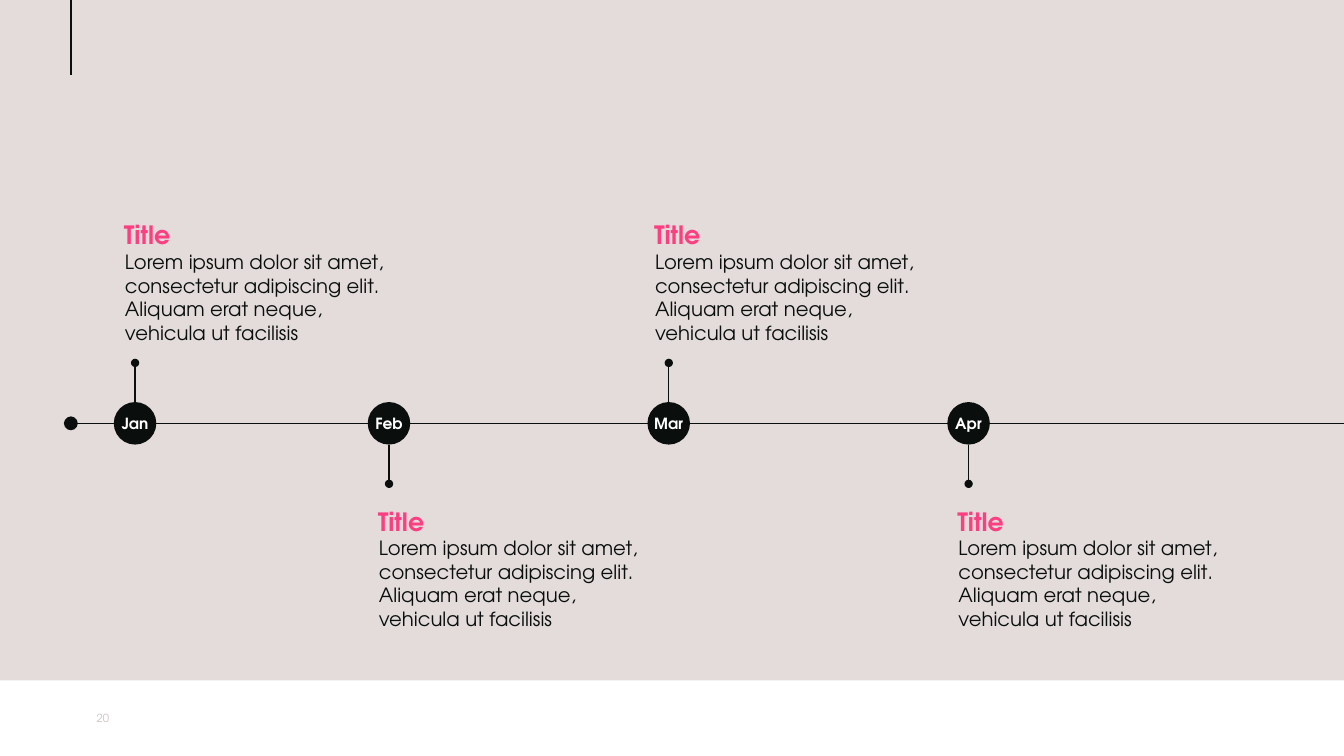
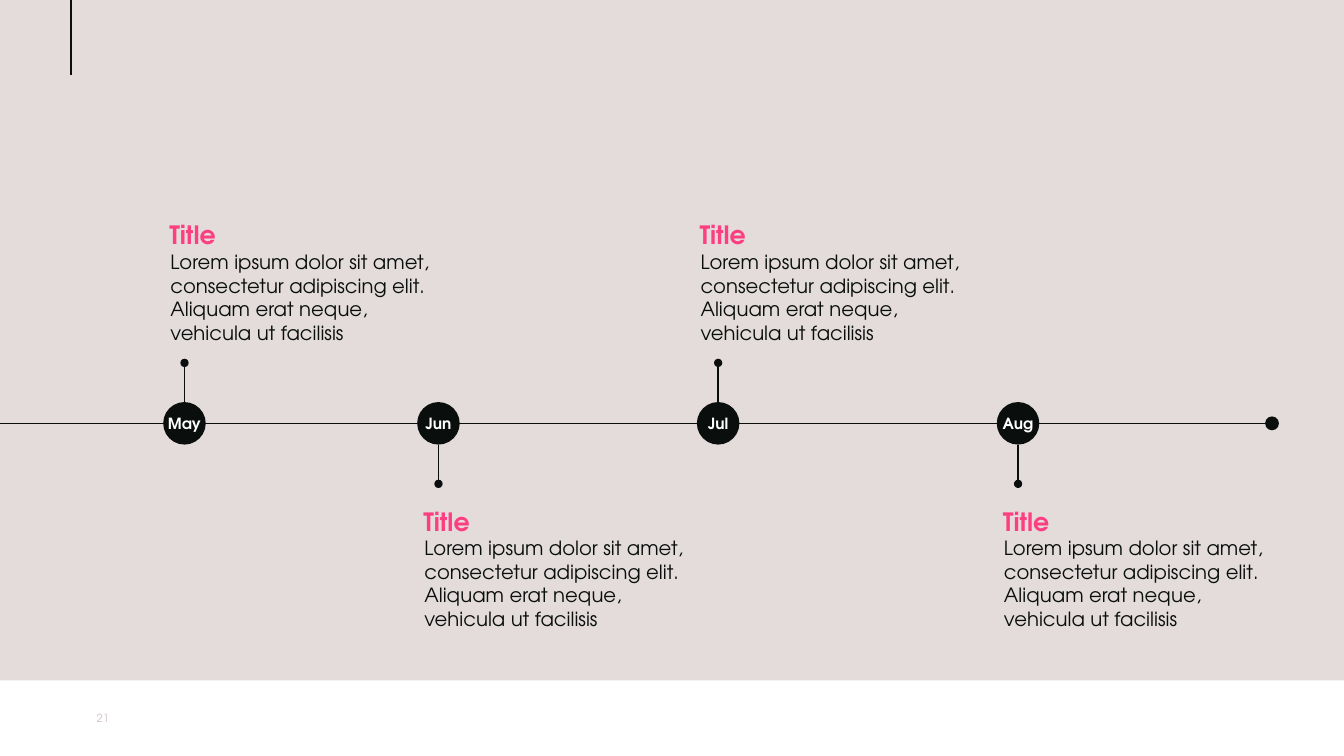
from pptx import Presentation
from pptx.dml.color import RGBColor
from pptx.enum.shapes import MSO_CONNECTOR, MSO_SHAPE
from pptx.enum.text import MSO_ANCHOR, MSO_AUTO_SIZE, PP_ALIGN
from pptx.oxml.ns import qn
from pptx.util import Pt
from lxml import etree

STRAIGHT = MSO_CONNECTOR.STRAIGHT
RECTANGLE, OVAL = MSO_SHAPE.RECTANGLE, MSO_SHAPE.OVAL
MIDDLE, CENTER = MSO_ANCHOR.MIDDLE, PP_ALIGN.CENTER
GROW = MSO_AUTO_SIZE.SHAPE_TO_FIT_TEXT

# Shared style
BACKGROUND = RGBColor(0xE3, 0xDC, 0xDB)
WHITE = RGBColor(0xFF, 0xFF, 0xFF)
INK = RGBColor(0x0A, 0x0F, 0x0D)
PINK = RGBColor(0xFD, 0x3E, 0x81)
GREY = RGBColor(0xCE, 0xC3, 0xC1)
FONT = "TeX Gyre Adventor"

HEADING = {"name": FONT, "size": Pt(18), "bold": True}
BODY = {"name": FONT, "size": Pt(14), "bold": False}
MONTH = {"name": FONT, "size": Pt(11), "bold": True}
NUMBER = {"name": FONT, "size": Pt(8)}

# Timeline geometry in points
WIDTH, HEIGHT = 960, 540
BAND_TOP = 486
MARGIN = 50.6
AXIS_Y = 302.4
RADIUS = 15.2
STEM_REACH = 43.2
CENTERS = (96.5, 277.9, 477.7, 691.9)
TEXT_LEFTS = (81.4, 262.8, 460.1, 676.8)
TEXT_WIDTH, TEXT_HEIGHT = 212.4, 97.2
TEXT_ABOVE, TEXT_BELOW = 153.4, 357.8

TITLE = "Title"
LOREM = ("Lorem ipsum dolor sit amet, consectetur adipiscing elit. "
         "Aliquam erat neque, vehicula ut facilisis")

# Each slide: number, months, axis start and end, shift of circles and texts
SLIDES = (
    ("20", ("Jan", "Feb", "Mar", "Apr"), (MARGIN, WIDTH), 0, 0),
    ("21", ("May", "Jun", "Jul", "Aug"), (908.6, 0), 35.3, 32.5),
)


def add_run(p, text, style, color):
    r = p.add_run()
    r.text = text
    for name, value in style.items():
        setattr(r.font, name, value)
    r.font.color.rgb = color


def add_shape(s, kind, left, top, width, height, fill):
    sp = s.shapes.add_shape(kind, Pt(left), Pt(top), Pt(width), Pt(height))
    sp.shadow.inherit = False
    sp.fill.solid()
    sp.fill.fore_color.rgb = fill
    sp.line.fill.background()
    return sp


def add_line(s, x1, y1, x2, y2, weight=1, dot=None):
    """Draw a line; dot is the size of a round head at its start."""
    line = s.shapes.add_connector(STRAIGHT, Pt(x1), Pt(y1), Pt(x2), Pt(y2))
    line.line.color.rgb = INK
    line.line.width = Pt(weight)
    if dot:
        etree.SubElement(line.line._get_or_add_ln(), qn("a:headEnd"),
                         type="oval", w=dot, len=dot)
    etree.SubElement(line._element.spPr, qn("a:effectLst"))


def add_text_box(s, left, top, width, height):
    sp = s.shapes.add_textbox(Pt(left), Pt(top), Pt(width), Pt(height))
    tf = sp.text_frame
    tf.word_wrap = True
    return tf


def add_frame(s, number):
    """Footer band, corner rule and slide number."""
    add_shape(s, RECTANGLE, 0, BAND_TOP, WIDTH, HEIGHT - BAND_TOP, WHITE)
    add_line(s, MARGIN, 0, MARGIN, 53.3, weight=1.5)
    tf = add_text_box(s, 61.9, 501.1, 38.9, 23)
    tf.vertical_anchor = MIDDLE
    add_run(tf.paragraphs[0], number, NUMBER, GREY)


def add_month(s, x, month, side):
    """Month circle with a stem; side is -1 above the axis, 1 below."""
    sp = add_shape(s, OVAL, x - RADIUS, AXIS_Y - RADIUS,
                   2 * RADIUS, 2 * RADIUS, INK)
    tf = sp.text_frame
    tf.word_wrap = False
    tf.vertical_anchor = MIDDLE
    p = tf.paragraphs[0]
    p.alignment = CENTER
    add_run(p, month, MONTH, WHITE)
    add_line(s, x, AXIS_Y + side * STEM_REACH,
             x, AXIS_Y + side * RADIUS, dot="med")


def add_description(s, left, top):
    tf = add_text_box(s, left, top, TEXT_WIDTH, TEXT_HEIGHT)
    tf.auto_size = GROW
    add_run(tf.paragraphs[0], TITLE, HEADING, PINK)
    p = tf.add_paragraph()
    p._p.get_or_add_pPr().set("marL", str(Pt(0.7)))
    add_run(p, LOREM, BODY, INK)


def add_timeline(s, months, axis, shift, text_shift):
    start, end = axis
    add_line(s, start, AXIS_Y, end, AXIS_Y, dot="lg")
    for i, (month, x, left) in enumerate(zip(months, CENTERS, TEXT_LEFTS)):
        # Entries alternate above and below the axis
        side, top = (1, TEXT_BELOW) if i % 2 else (-1, TEXT_ABOVE)
        add_month(s, x + shift, month, side)
        add_description(s, left + text_shift, top)


def main():
    prs = Presentation()
    prs.slide_width, prs.slide_height = Pt(WIDTH), Pt(HEIGHT)
    fill = prs.slide_master.background.fill
    fill.solid()
    fill.fore_color.rgb = BACKGROUND
    blank = prs.slide_layouts[6]
    for number, *timeline in SLIDES:
        s = prs.slides.add_slide(blank)
        add_frame(s, number)
        add_timeline(s, *timeline)
    prs.save("out.pptx")


if __name__ == "__main__":
    main()
